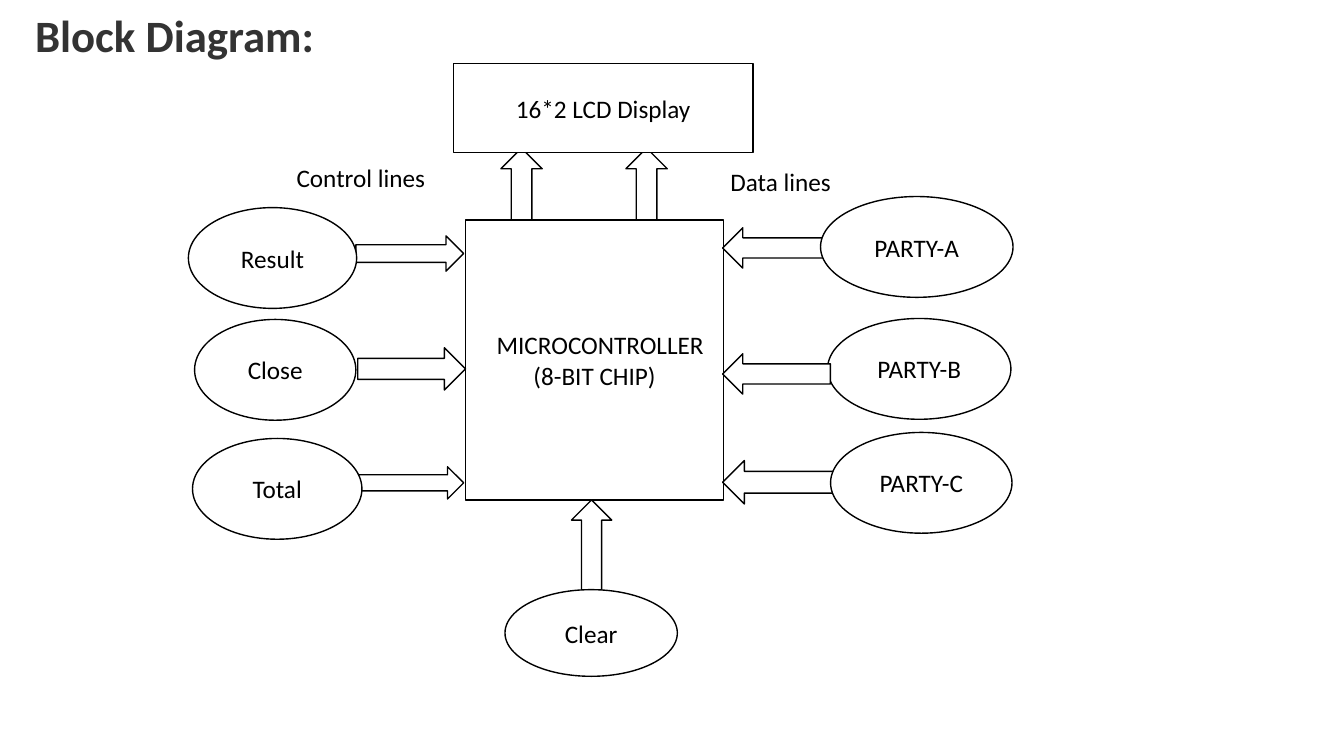
from pptx import Presentation
from pptx.dml.color import RGBColor
from pptx.enum.shapes import MSO_SHAPE
from pptx.enum.text import MSO_ANCHOR, MSO_AUTO_SIZE, PP_ALIGN
from pptx.util import Pt

BLACK = RGBColor(0, 0, 0)
WHITE = RGBColor(255, 255, 255)
TITLE_GREY = RGBColor(0x33, 0x33, 0x33)
FONT = "Calibri"

RECTANGLE = MSO_SHAPE.RECTANGLE
OVAL = MSO_SHAPE.OVAL
UP = MSO_SHAPE.UP_ARROW
LEFT = MSO_SHAPE.LEFT_ARROW
RIGHT = MSO_SHAPE.RIGHT_ARROW
MIDDLE = MSO_ANCHOR.MIDDLE
FIT_SHAPE = MSO_AUTO_SIZE.SHAPE_TO_FIT_TEXT
ALIGN_LEFT = PP_ALIGN.LEFT
ALIGN_CENTER = PP_ALIGN.CENTER

OVAL_HEIGHT = 72
ARROW_LENGTH = 77
BUTTON_ARROW_LEFT = 254.2
PARTY_ARROW_LEFT = 516.2

BUTTONS = [
    ("Result", 134.6, 148.3, 120.2),
    ("Close", 139, 228.2, 115.2),
    ("Total", 137.5, 313.2, 121),
]
PARTIES = [
    ("PARTY-A", 586.1, 140.4, 137.5),
    ("PARTY-B", 591.1, 227.5, 131),
    ("PARTY-C", 593.3, 308.9, 129.6),
]


def format_text(text_frame, size=18, color=BLACK, bold=False, alignment=ALIGN_CENTER):
    text_frame.word_wrap = True
    for paragraph in text_frame.paragraphs:
        paragraph.alignment = alignment
        for run in paragraph.runs:
            run.font.name = FONT
            run.font.size = Pt(size)
            run.font.bold = bold
            run.font.color.rgb = color


def add_outlined_shape(slide, kind, left, top, width, height):
    shape = slide.shapes.add_shape(kind, Pt(left), Pt(top), Pt(width), Pt(height))
    shape.shadow.inherit = False
    shape.fill.solid()
    shape.fill.fore_color.rgb = WHITE
    shape.line.color.rgb = BLACK
    shape.line.width = Pt(1)
    return shape


def add_block(slide, kind, text, left, top, width, height):
    block = add_outlined_shape(slide, kind, left, top, width, height)
    block.text_frame.text = text
    block.text_frame.vertical_anchor = MIDDLE
    format_text(block.text_frame)
    return block


def add_label(slide, text, left, top, width, height, **text_format):
    label = slide.shapes.add_textbox(Pt(left), Pt(top), Pt(width), Pt(height))
    label.text_frame.text = text
    format_text(label.text_frame, **text_format)
    label.text_frame.auto_size = FIT_SHAPE


def add_ovals(slide, ovals):
    for text, left, top, width in ovals:
        add_block(slide, OVAL, text, left, top, width, OVAL_HEIGHT)


def add_controller(slide):
    controller = add_block(
        slide, RECTANGLE, "MICROCONTROLLER\n(8-BIT CHIP)", 332.6, 157, 184.3, 200.2
    )
    name = controller.text_frame.paragraphs[0]
    name._p.get_or_add_pPr().set("marL", str(Pt(8)))


def main():
    presentation = Presentation()
    presentation.slide_width = Pt(960)
    presentation.slide_height = Pt(540)
    slide = presentation.slides.add_slide(presentation.slide_layouts[6])

    add_label(slide, "Block Diagram:", 18, 2.2, 239.8, 46.1,
              size=32, color=TITLE_GREY, bold=True, alignment=ALIGN_LEFT)

    for left in (357.8, 447.1):
        add_outlined_shape(slide, UP, left, 105.8, 29.5, 59)
    add_controller(slide)
    add_block(slide, RECTANGLE, "16*2 LCD Display", 324, 45.4, 213.8, 63.4)

    add_outlined_shape(slide, UP, 408.2, 357.1, 28.8, 64.8)
    add_block(slide, OVAL, "Clear", 360.7, 421.2, 123.1, 61.9)

    for top, height in ((168.5, 25.2), (333.4, 23)):
        add_outlined_shape(slide, RIGHT, BUTTON_ARROW_LEFT, top, ARROW_LENGTH, height)
    add_ovals(slide, BUTTONS)
    add_outlined_shape(slide, RIGHT, 255.6, 248.4, ARROW_LENGTH, 30.2)

    add_outlined_shape(slide, LEFT, PARTY_ARROW_LEFT, 162.7, ARROW_LENGTH, 28.8)
    add_outlined_shape(slide, LEFT, PARTY_ARROW_LEFT, 329, 83.5, 31)
    add_ovals(slide, PARTIES)
    add_outlined_shape(slide, LEFT, PARTY_ARROW_LEFT, 252.7, ARROW_LENGTH, 28.8)

    add_label(slide, "Data lines", 480.2, 115.2, 154.8, 28.8)
    add_label(slide, "Control lines", 194.4, 112.3, 126.7, 28.8)

    presentation.save("out.pptx")


if __name__ == "__main__":
    main()
